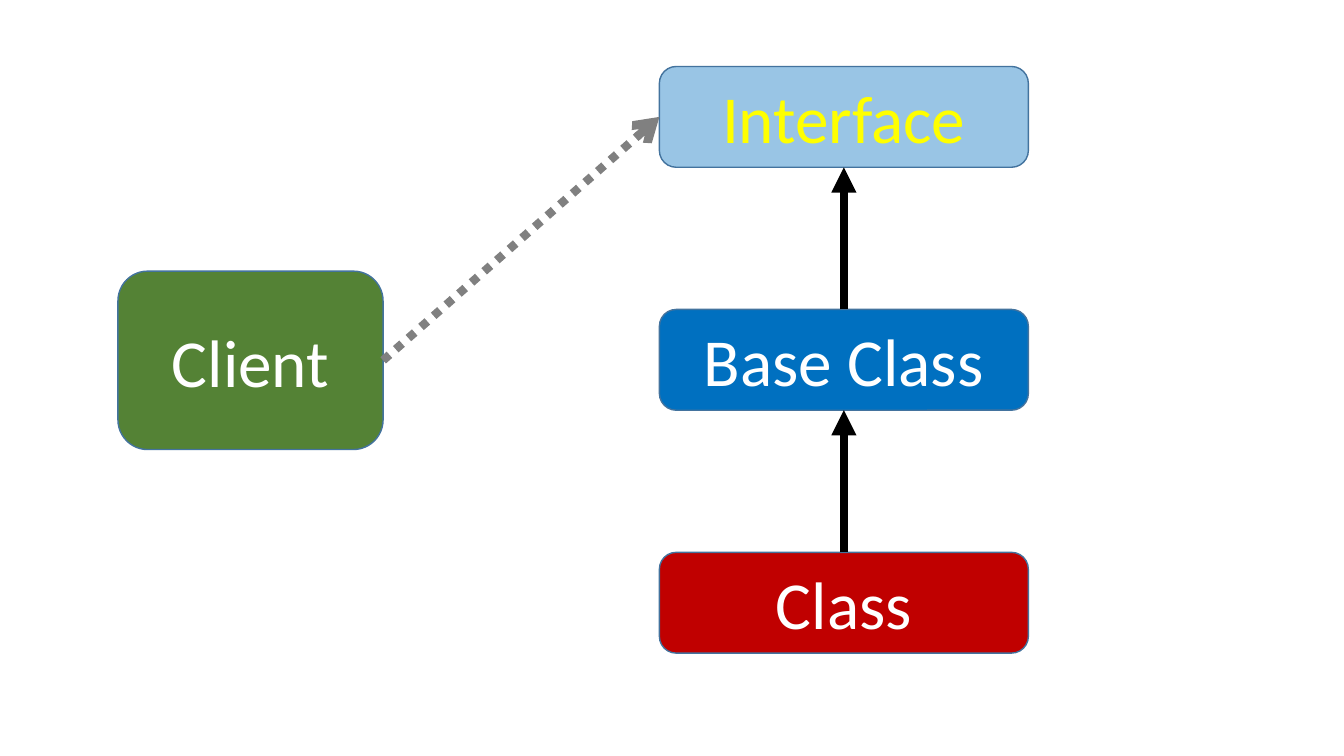
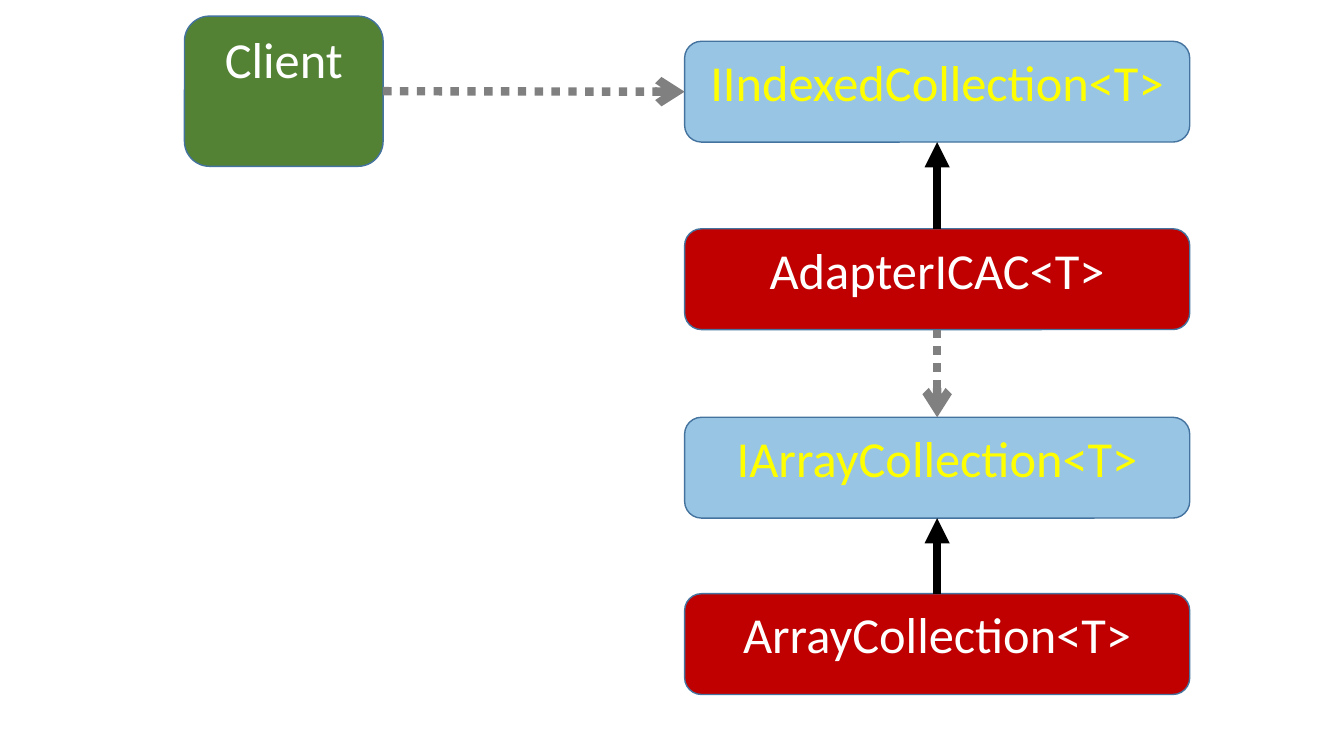
from pptx import Presentation
from pptx.dml.color import RGBColor
from pptx.enum.dml import MSO_LINE
from pptx.enum.shapes import MSO_CONNECTOR, MSO_SHAPE
from pptx.enum.text import MSO_ANCHOR, PP_ALIGN
from pptx.oxml.ns import qn
from pptx.util import Inches, Pt
from lxml.etree import SubElement

BLUE = RGBColor(0x00, 0x70, 0xC0)
GREEN = RGBColor(0x54, 0x82, 0x35)
RED = RGBColor(0xC0, 0x00, 0x00)
OUTLINE = RGBColor(0x43, 0x73, 0x9E)
WHITE = RGBColor(0xFF, 0xFF, 0xFF)
YELLOW = RGBColor(0xFF, 0xFF, 0x00)
BLACK = RGBColor(0x00, 0x00, 0x00)
GRAY = RGBColor(0x80, 0x80, 0x80)

FONT = "Calibri"
BLANK_LAYOUT = 6
TYPE_HEIGHT = 1
TOP, LEFT, BOTTOM, RIGHT = range(4)

# Role of a box: fill, text colour, opacity in percent
STYLES = {
    "client": (GREEN, WHITE, 100),
    "interface": (BLUE, YELLOW, 40),
    "base": (BLUE, WHITE, 100),
    "class": (RED, WHITE, 100),
}


def add_box(slide, box, text, role, size, anchor=MSO_ANCHOR.TOP):
    fill_color, text_color, opacity = STYLES[role]
    shape = slide.shapes.add_shape(MSO_SHAPE.ROUNDED_RECTANGLE, *map(Inches, box))
    shape.shadow.inherit = False
    shape.fill.solid()
    shape.fill.fore_color.rgb = fill_color
    if opacity < 100:
        color = shape._element.spPr.find(qn("a:solidFill"))[0]
        SubElement(color, qn("a:alpha"), val=str(opacity * 1000))
    shape.line.color.rgb = OUTLINE
    shape.line.width = Pt(1)
    shape.text_frame.word_wrap = True
    shape.text_frame.vertical_anchor = anchor
    paragraph = shape.text_frame.paragraphs[0]
    paragraph.text = text
    paragraph.alignment = PP_ALIGN.CENTER
    paragraph.font.name = FONT
    paragraph.font.size = Pt(size)
    paragraph.font.color.rgb = text_color
    return shape


def add_arrow(slide, source, source_side, target, target_side, color, head):
    connector = slide.shapes.add_connector(MSO_CONNECTOR.STRAIGHT, 0, 0, 0, 0)
    connector.begin_connect(source, source_side)
    connector.end_connect(target, target_side)
    connector.line.color.rgb = color
    connector.line.width = Pt(6)
    if color == GRAY:
        connector.line.dash_style = MSO_LINE.ROUND_DOT
    SubElement(connector.line._get_or_add_ln(), qn("a:tailEnd"), type=head)
    SubElement(connector._element.spPr, qn("a:effectLst"))


def add_inheritance(slide, child, parent):
    add_arrow(slide, child, TOP, parent, BOTTOM, BLACK, "triangle")


def add_use(slide, user, user_side, used, used_side):
    add_arrow(slide, user, user_side, used, used_side, GRAY, "arrow")


def add_type_column(slide, left, width, tops, types, size):
    """Stack the type boxes from top to bottom and return them."""
    return [
        add_box(slide, (left, top, width, TYPE_HEIGHT), text, role, size)
        for top, (text, role) in zip(tops, types)
    ]


def build_hierarchy_slide(presentation):
    slide = presentation.slides.add_slide(presentation.slide_layouts[BLANK_LAYOUT])
    size = 48
    client = add_box(slide, (1.17, 2.69, 2.63, 1.77), "Client", "client", size,
                     MSO_ANCHOR.MIDDLE)
    types = [("Interface", "interface"), ("Base Class", "base"), ("Class", "class")]
    tops = [0.66 + 2.41 * row for row in range(len(types))]
    interface, base, derived = add_type_column(slide, 6.54, 3.66, tops, types, size)
    add_inheritance(slide, base, interface)
    add_inheritance(slide, derived, base)
    add_use(slide, client, RIGHT, interface, LEFT)


def build_adapter_slide(presentation):
    slide = presentation.slides.add_slide(presentation.slide_layouts[BLANK_LAYOUT])
    size = 36
    client = add_box(slide, (1.83, 0.16, 1.97, 1.49), "Client", "client", size)
    types = [
        ("IIndexedCollection<T>", "interface"),
        ("AdapterICAC<T>", "class"),
        ("IArrayCollection<T>", "interface"),
        ("ArrayCollection<T>", "class"),
    ]
    indexed, adapter, array_interface, array = add_type_column(
        slide, 6.79, 5.01, (0.41, 2.27, 4.14, 5.89), types, size)
    add_use(slide, client, RIGHT, indexed, LEFT)
    add_inheritance(slide, adapter, indexed)
    add_use(slide, adapter, BOTTOM, array_interface, TOP)
    add_inheritance(slide, array, array_interface)


def main():
    presentation = Presentation()
    presentation.slide_width = Inches(13.33)
    presentation.slide_height = Inches(7.5)
    build_hierarchy_slide(presentation)
    build_adapter_slide(presentation)
    presentation.save("out.pptx")


if __name__ == "__main__":
    main()
